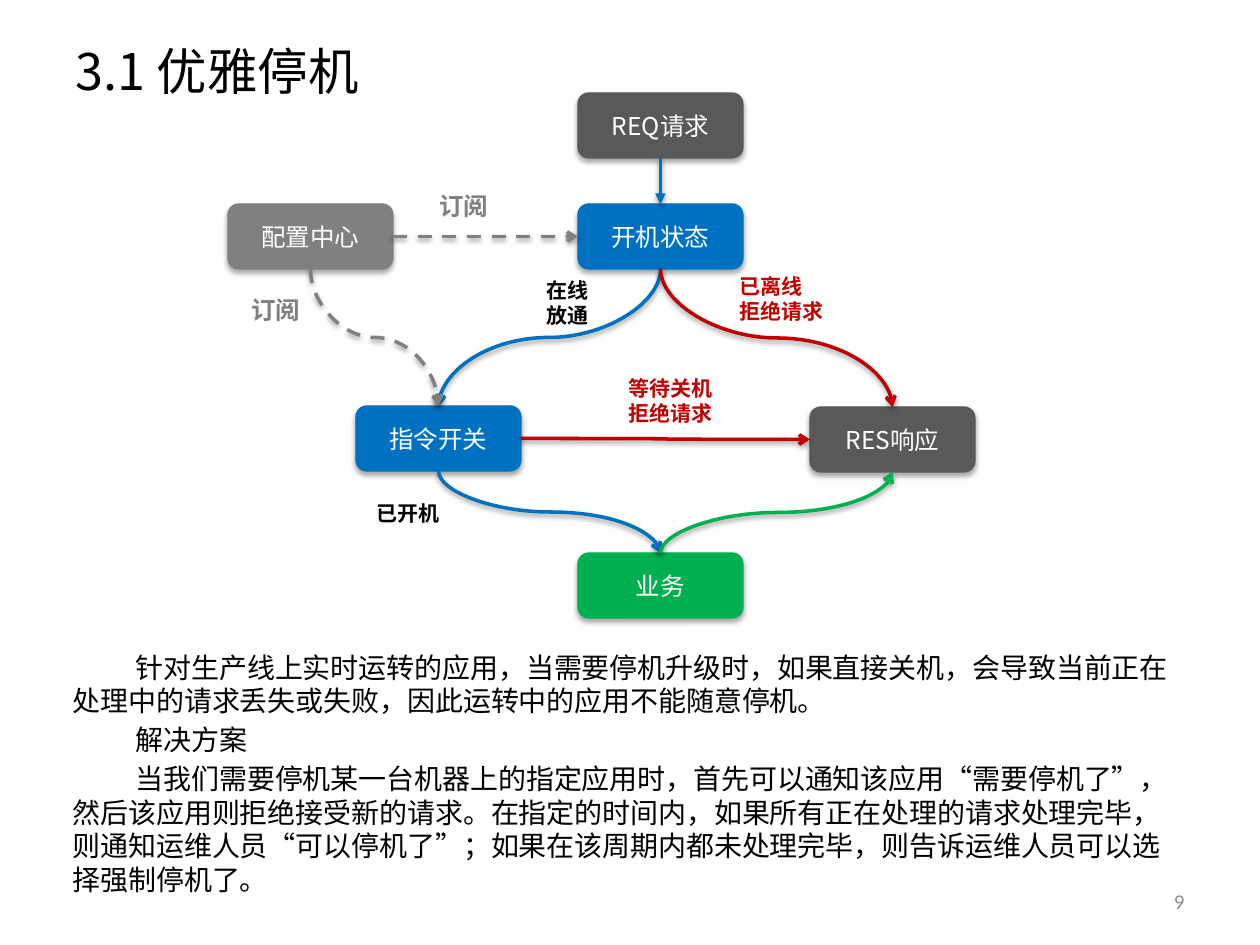
from collections import namedtuple

from lxml import etree
from pptx import Presentation
from pptx.dml.color import RGBColor
from pptx.enum.dml import MSO_LINE
from pptx.enum.shapes import MSO_CONNECTOR, MSO_SHAPE
from pptx.enum.text import MSO_ANCHOR, MSO_AUTO_SIZE, PP_ALIGN
from pptx.oxml.ns import qn
from pptx.util import Inches, Pt

Box = namedtuple("Box", "left top width height")

EMU_PER_PX = Inches(1) / 126
CJK_FONT = "Noto Sans CJK SC"
LATIN_FONT = "Calibri"

BLACK = RGBColor(0x00, 0x00, 0x00)
WHITE = RGBColor(0xFF, 0xFF, 0xFF)
BLUE = RGBColor(0x00, 0x70, 0xC0)
RED = RGBColor(0xC0, 0x00, 0x00)
GREEN = RGBColor(0x00, 0xB0, 0x50)
DARK_GRAY = RGBColor(0x59, 0x59, 0x59)
GRAY = RGBColor(0x80, 0x80, 0x80)
PAGE_GRAY = RGBColor(0x8C, 0x8C, 0x8C)

ROUNDED = MSO_SHAPE.ROUNDED_RECTANGLE
STRAIGHT, CURVE = MSO_CONNECTOR.STRAIGHT, MSO_CONNECTOR.CURVE
DASH = MSO_LINE.DASH
MIDDLE, TOP_ANCHOR = MSO_ANCHOR.MIDDLE, MSO_ANCHOR.TOP
NO_FIT = MSO_AUTO_SIZE.NONE
LEFT_ALIGN, CENTER, RIGHT_ALIGN = PP_ALIGN.LEFT, PP_ALIGN.CENTER, PP_ALIGN.RIGHT
TOP, LEFT, BOTTOM, RIGHT = range(4)

NODE_WIDTH, NODE_HEIGHT = 165, 65
NODES = {
    "state": ("开机状态", 350, 111, BLUE),
    "request": ("REQ请求", 350, 0, DARK_GRAY),
    "switch": ("指令开关", 128, 313, BLUE),
    "response": ("RES响应", 582, 314, DARK_GRAY),
    "config": ("配置中心", 0, 111, GRAY),
    "service": ("业务", 350, 460, GREEN),
}
LINKS = [
    ("request", BOTTOM, "state", TOP, STRAIGHT, BLUE, "triangle", None),
    ("state", BOTTOM, "switch", TOP, CURVE, BLUE, "arrow", None),
    ("state", BOTTOM, "response", TOP, CURVE, RED, "arrow", None),
    ("switch", BOTTOM, "service", TOP, CURVE, BLUE, "arrow", None),
    ("switch", RIGHT, "response", LEFT, CURVE, RED, "arrow", None),
    ("service", TOP, "response", BOTTOM, CURVE, GREEN, "arrow", None),
    ("config", BOTTOM, "switch", TOP, CURVE, GRAY, "arrow", DASH),
    ("config", RIGHT, "state", LEFT, CURVE, GRAY, "arrow", DASH),
]
LABELS = [
    (["在线", "放通"], Box(306, 178, 68, 63), 12, BLACK),
    (["已离线", "拒绝请求"], Box(499, 174, 111, 63), 12, RED),
    (["等待关机", "拒绝请求"], Box(388, 276, 111, 63), 12, RED),
    (["已开机"], Box(136, 401, 89, 38), 12, BLACK),
    (["订阅"], Box(199, 92, 74, 43), 14, GRAY),
    (["订阅"], Box(11, 196, 74, 43), 14, GRAY),
]
BODY = [
    ("针对生产线上实时运转的应用，当需要停机升级时，如果直接关机，会导致当前正在处理中的请求丢失或失败，因此运转中的应用不能随意停机。", LATIN_FONT),
    ("解决方案", CJK_FONT),
    ("当我们需要停机某一台机器上的指定应用时，首先可以通知该应用“需要停机了”，然后该应用则拒绝接受新的请求。在指定的时间内，如果所有正在处理的请求处理完毕，则通知运维人员“可以停机了”；如果在该周期内都未处理完毕，则告诉运维人员可以选择强制停机了。", LATIN_FONT),
]


def px(length):
    return round(length * EMU_PER_PX)


def emu_box(box):
    return [px(length) for length in box]


def set_all(target, values):
    for name, value in values.items():
        setattr(target, name, value)


def place(shape, box):
    set_all(shape, dict(zip(Box._fields, emu_box(box))))


def write(para, text, size, color, font=CJK_FONT, bold=False):
    span = para.add_run()
    span.text = text
    set_all(span.font, {"size": Pt(size), "name": font, "bold": bold})
    span.font.color.rgb = color
    etree.SubElement(span.font._element, qn("a:ea"), typeface=CJK_FONT)


def add_shadow(shape, opacity, distance):
    effects = etree.SubElement(shape._element.spPr, qn("a:effectLst"))
    shadow = etree.SubElement(
        effects, qn("a:outerShdw"), blurRad=str(Pt(3.1)), dist=str(Pt(distance)),
        dir="5400000", rotWithShape="0")
    color = etree.SubElement(shadow, qn("a:srgbClr"), val="000000")
    etree.SubElement(color, qn("a:alpha"), val=str(opacity * 1000))


def add_node(page, box, text, color):
    node = page.shapes.add_shape(ROUNDED, *emu_box(box))
    node.fill.solid()
    node.fill.fore_color.rgb = color
    node.line.color.rgb = color
    node.line.width = Pt(0.75)
    add_shadow(node, 35, 1.8)
    node.text_frame.vertical_anchor = MIDDLE
    para = node.text_frame.paragraphs[0]
    para.alignment = CENTER
    write(para, text, 14, WHITE)
    return node


def turn_upright(link):
    across, down = link.end_x - link.begin_x, link.end_y - link.begin_y
    center_x, center_y = link.begin_x + across // 2, link.begin_y + down // 2
    width, height = abs(down), abs(across)
    set_all(link, {"left": center_x - width // 2, "top": center_y - height // 2,
                   "width": width, "height": height})
    frame = link._element.spPr.find(qn("a:xfrm"))
    frame.set("rot", "16200000" if across > 0 and down > 0 else "5400000")
    frame.set("flipH", "1" if across > 0 else "0")
    frame.set("flipV", "1" if down < 0 else "0")


def add_link(page, start, start_side, end, end_side, kind, color, head, dash):
    link = page.shapes.add_connector(kind, 0, 0, 0, 0)
    link.begin_connect(start, start_side)
    link.end_connect(end, end_side)
    if kind == CURVE and start_side in (TOP, BOTTOM):
        turn_upright(link)
    link.line.color.rgb = color
    set_all(link.line, {"width": Pt(2), "dash_style": dash})
    etree.SubElement(link.line._get_or_add_ln(), qn("a:tailEnd"), type=head)
    add_shadow(link, 38, 1.6)


def add_label(page, box, lines, size, color):
    frame = page.shapes.add_textbox(*emu_box(box)).text_frame
    frame.word_wrap = False
    for index, text in enumerate(lines):
        para = frame.add_paragraph() if index else frame.paragraphs[0]
        para.line_spacing = Pt(size * 1.2)
        write(para, text, size, color, bold=True)


def draw_flow(page, box):
    nodes = {}
    for key, (text, left, top, color) in NODES.items():
        node_box = Box(box.left + left, box.top + top, NODE_WIDTH, NODE_HEIGHT)
        nodes[key] = add_node(page, node_box, text, color)
    for start, start_side, end, end_side, *style in LINKS:
        add_link(page, nodes[start], start_side, nodes[end], end_side, *style)
    for lines, area, size, color in LABELS:
        label_box = area._replace(left=box.left + area.left, top=box.top + area.top)
        add_label(page, label_box, lines, size, color)


def draw_title(page, box):
    title = page.shapes.title
    place(title, box)
    set_all(title.text_frame, {"vertical_anchor": MIDDLE, "auto_size": NO_FIT})
    para = title.text_frame.paragraphs[0]
    para.alignment = LEFT_ALIGN
    write(para, "3.1 优雅停机", 28.8, BLACK)


def draw_body(page, box):
    body = page.placeholders[1]
    place(body, box)
    frame = body.text_frame
    set_all(frame, {"vertical_anchor": TOP_ANCHOR, "auto_size": NO_FIT, "word_wrap": True})
    for index, (text, font) in enumerate(BODY):
        para = frame.add_paragraph() if index else frame.paragraphs[0]
        set_all(para, {"alignment": LEFT_ALIGN, "line_spacing": Pt(19.2),
                       "space_before": Pt(3 if index else 0)})
        properties = para._p.get_or_add_pPr()
        properties.set("marL", "0")
        properties.set("indent", str(px(63)))
        etree.SubElement(properties, qn("a:buNone"))
        write(para, text, 16, BLACK, font)


def draw_page_number(page, box):
    frame = page.shapes.add_textbox(*emu_box(box)).text_frame
    set_all(frame, {"vertical_anchor": MIDDLE, "word_wrap": True})
    para = frame.paragraphs[0]
    para.alignment = RIGHT_ALIGN
    write(para, "9", 12, PAGE_GRAY, LATIN_FONT)


def main():
    deck = Presentation()
    set_all(deck, {"slide_width": px(1260), "slide_height": px(945)})
    page = deck.slides.add_slide(deck.slide_layouts[1])
    draw_title(page, Box(63, 38, 1134, 64))
    draw_page_number(page, Box(903, 876, 294, 50))
    draw_flow(page, Box(228, 93, 747, 525))
    draw_body(page, Box(60, 644, 1134, 258))
    deck.save("out.pptx")


if __name__ == "__main__":
    main()
